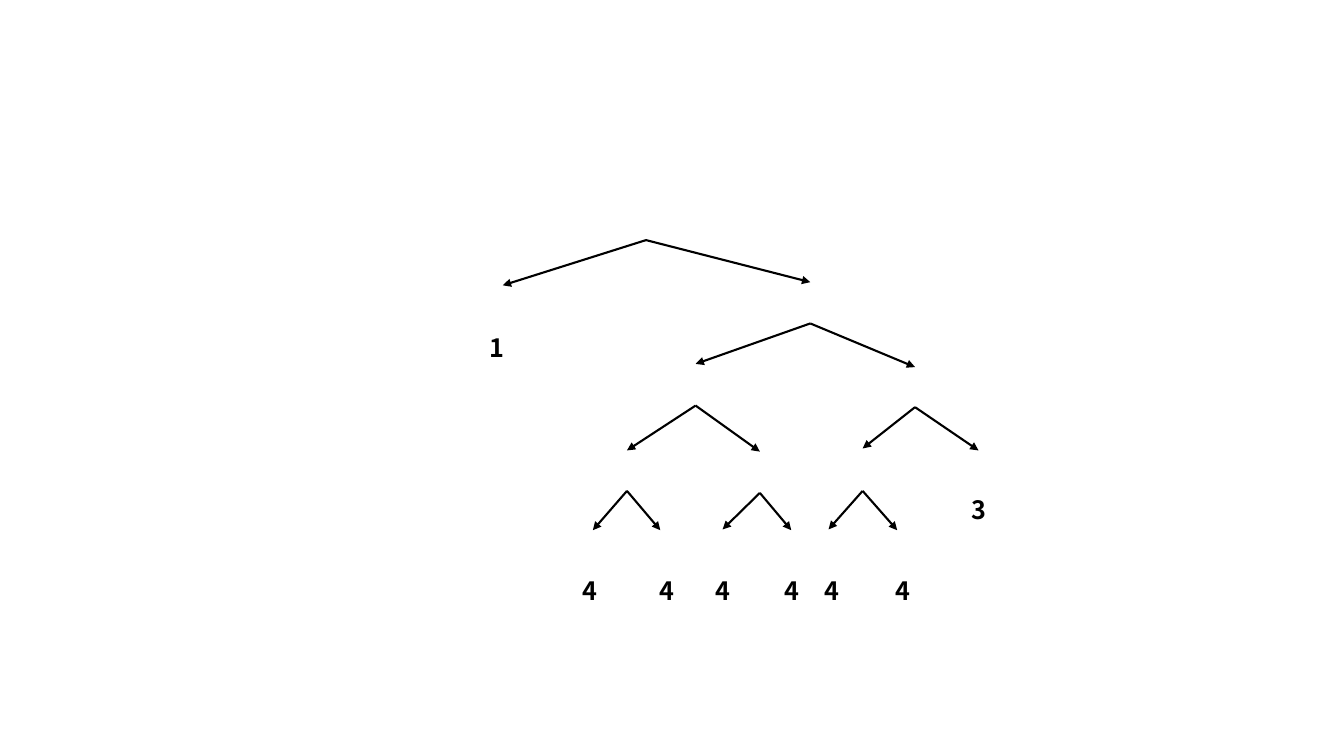
from lxml import etree
from pptx import Presentation
from pptx.dml.color import RGBColor
from pptx.enum import shapes, text
from pptx.oxml import ns
from pptx.util import Cm, Pt

# Content, in cm: each fork as (apex, left tip, right tip)
FORKS = [
    ((16.28, 6.05), (12.67, 7.19), (20.42, 7.11)),
    ((20.42, 8.15), (17.53, 9.17), (23.06, 9.25)),
    ((17.53, 10.22), (15.8, 11.35), (19.15, 11.38)),
    ((23.06, 10.26), (21.74, 11.3), (24.66, 11.35)),
    ((15.8, 12.37), (14.94, 13.36), (16.64, 13.36)),
    ((19.15, 12.42), (18.21, 13.34), (19.94, 13.36)),
    ((21.74, 12.37), (20.88, 13.34), (22.61, 13.36)),
]
# Leaf depths: (depth, top, left edges)
LEAVES = [
    ("1", 8.26, [12.09]),
    ("4", 14.38, [14.43, 16.36, 17.78, 19.51, 20.52, 22.33]),
    ("3", 12.32, [24.23]),
]
LEAF_WIDTH, LEAF_HEIGHT = Cm(1.14), Cm(1.02)
BLACK = RGBColor(0, 0, 0)
FONT = "Noto Sans CJK SC"


def add_branch(slide, apex, tip):
    branch = slide.shapes.add_connector(
        shapes.MSO_CONNECTOR.STRAIGHT, *map(Cm, apex + tip))
    branch.line.color.rgb = BLACK
    branch.line.width = Pt(1.5)
    etree.SubElement(branch.line._get_or_add_ln(), ns.qn("a:tailEnd"), type="triangle")
    etree.SubElement(branch._element.spPr, ns.qn("a:effectLst"))


def add_leaf(slide, depth, left, top):
    leaf = slide.shapes.add_textbox(Cm(left), Cm(top), LEAF_WIDTH, LEAF_HEIGHT)
    frame = leaf.text_frame
    frame.word_wrap = True
    frame.auto_size = text.MSO_AUTO_SIZE.SHAPE_TO_FIT_TEXT
    frame.text = depth
    font = frame.paragraphs[0].runs[0].font
    font.name, font.size, font.bold = FONT, Pt(18), True
    font.color.rgb = BLACK


def main():
    prs = Presentation()
    prs.slide_width, prs.slide_height = Cm(33.87), Cm(19.05)
    slide = prs.slides.add_slide(prs.slide_layouts[6])

    # Branches of the tree
    for apex, *tips in FORKS:
        for tip in tips:
            add_branch(slide, apex, tip)

    # Depth numbers under the leaves
    for depth, top, lefts in LEAVES:
        for left in lefts:
            add_leaf(slide, depth, left, top)

    prs.save("out.pptx")


if __name__ == "__main__":
    main()
